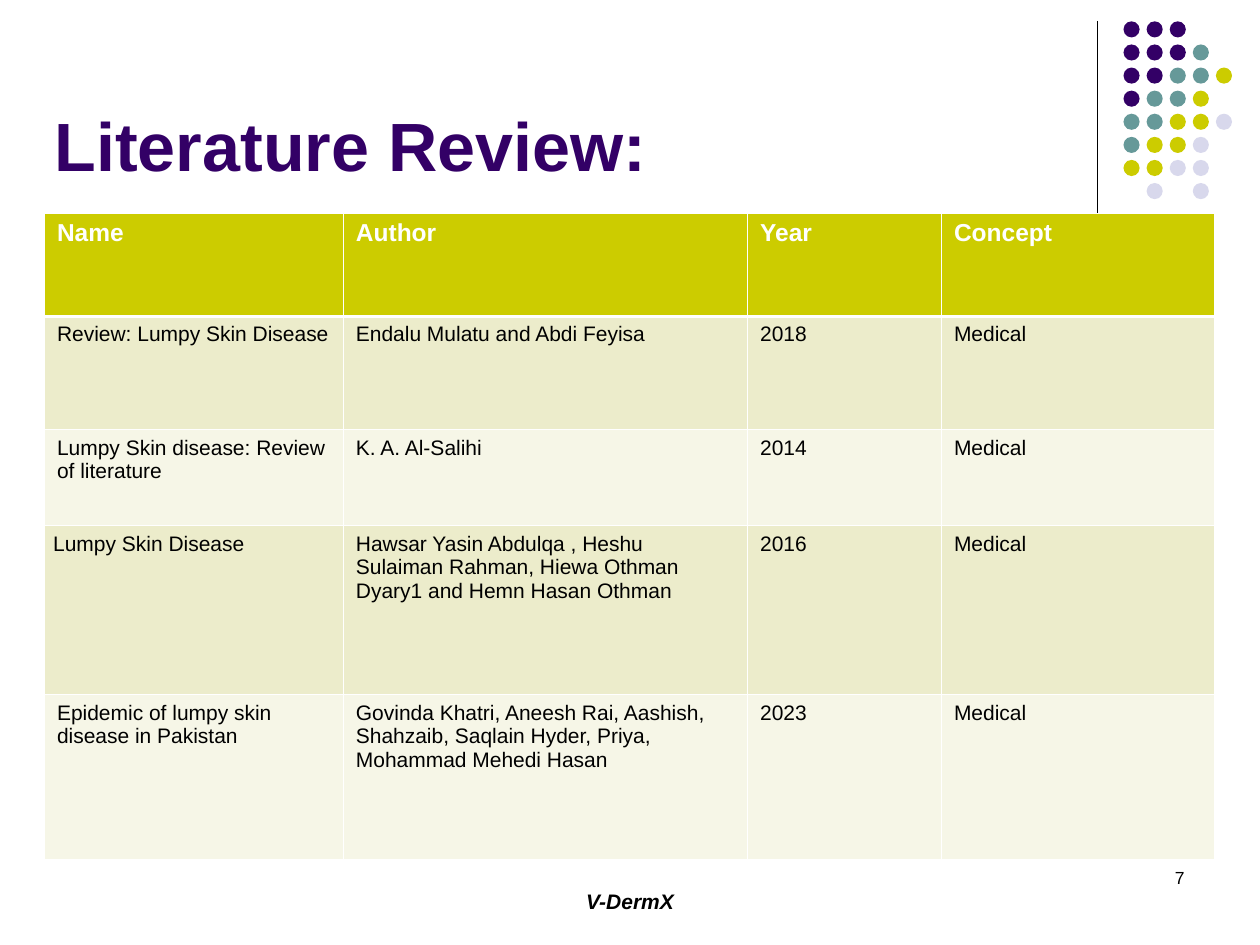
from lxml.etree import SubElement
from pptx import Presentation
from pptx.dml.color import RGBColor
from pptx.enum.shapes import MSO_CONNECTOR, MSO_SHAPE
from pptx.enum.text import MSO_ANCHOR, MSO_AUTO_SIZE, PP_ALIGN
from pptx.oxml.ns import qn
from pptx.util import Pt

COLORS = {
    "purple": "330066", "teal": "669999", "lime": "CCCC00", "lavender": "D8D8EC",
    "band": "ECECCB", "light": "F6F6E7", "black": "000000", "white": "FFFFFF",
}


def style(p, size, color, bold=False, italic=False):
    p.font.name = "Arial"
    p.font.size = Pt(size)
    p.font.bold = bold
    p.font.italic = italic
    p.font.color.rgb = RGBColor.from_string(COLORS[color])


def add_border(cell, side, width):
    """Draw one white cell border; side is L, R, T or B."""
    ln = SubElement(cell._tc.get_or_add_tcPr(), qn(f"a:ln{side}"), w=str(Pt(width)))
    fill = SubElement(ln, qn("a:solidFill"))
    SubElement(fill, qn("a:srgbClr"), val=COLORS["white"])


prs = Presentation()
prs.slide_width, prs.slide_height = Pt(720), Pt(540)
s = prs.slides.add_slide(prs.slide_layouts[5])

# Corner decoration: rule and dot grid
rule = s.shapes.add_connector(MSO_CONNECTOR.STRAIGHT, Pt(627), Pt(12), Pt(627), Pt(132))
rule.line.color.rgb = RGBColor.from_string(COLORS["black"])
rule.line.width = Pt(0.75)
SubElement(rule._element.spPr, qn("a:effectLst"))

DOT_COLORS = {"P": "purple", "T": "teal", "L": "lime", "V": "lavender"}
DOT_ROWS = ["PPP", "PPPT", "PPTTL", "PTTL", "TTLLV", "TLLV", "LLVV", ".V.V"]
DOT_PITCH, DOT_SIZE = 13.2, 9.2
for row, codes in enumerate(DOT_ROWS):
    for col, code in enumerate(codes):
        if code == ".":
            continue
        dot = s.shapes.add_shape(
            MSO_SHAPE.OVAL, Pt(642 + col * DOT_PITCH), Pt(12.2 + row * DOT_PITCH),
            Pt(DOT_SIZE), Pt(DOT_SIZE))
        dot.shadow.inherit = False
        dot.fill.solid()
        dot.fill.fore_color.rgb = RGBColor.from_string(COLORS[DOT_COLORS[code]])
        dot.line.fill.background()

# Title
title = s.shapes.title
title.left, title.top, title.width, title.height = Pt(24), Pt(7.2), Pt(594), Pt(102)
tf = title.text_frame
tf.text = "Literature Review:"
tf.auto_size = MSO_AUTO_SIZE.NONE
tf.vertical_anchor = MSO_ANCHOR.BOTTOM
tf.paragraphs[0].alignment = PP_ALIGN.LEFT
style(tf.paragraphs[0], 39, "purple", bold=True)

# Footer and slide number
for text, left, top, width, height, align, size, emphasis in [
    ("V-DermX", 228, 504, 264, 24, PP_ALIGN.CENTER, 12, True),
    ("7", 516, 492, 168, 36, PP_ALIGN.RIGHT, 10, False),
]:
    tf = s.shapes.add_textbox(Pt(left), Pt(top), Pt(width), Pt(height)).text_frame
    tf.word_wrap = True
    p = tf.paragraphs[0]
    p.text = text
    p.alignment = align
    style(p, size, "black", bold=emphasis, italic=emphasis)

# Literature table
ROWS = [
    ("Name", "Author", "Year", "Concept"),
    ("Review: Lumpy Skin Disease", "Endalu Mulatu and Abdi Feyisa", "2018", "Medical"),
    ("Lumpy Skin disease: Review of literature", "K. A. Al-Salihi", "2014", "Medical"),
    ("Lumpy Skin Disease",
     "Hawsar Yasin Abdulqa , Heshu Sulaiman Rahman, Hiewa Othman Dyary1 "
     "and Hemn Hasan Othman", "2016", "Medical"),
    ("Epidemic of lumpy skin disease in Pakistan",
     "Govinda Khatri, Aneesh Rai, Aashish, Shahzaib, Saqlain Hyder, Priya, "
     "Mohammad Mehedi Hasan", "2023", "Medical"),
]
COL_WIDTHS = [170.8, 231, 110.8, 156.2]
ROW_HEIGHTS = [59, 64.8, 54.8, 96.6, 94.2]
table = s.shapes.add_table(
    len(ROWS), len(COL_WIDTHS), Pt(25.4), Pt(121.8),
    Pt(sum(COL_WIDTHS)), Pt(sum(ROW_HEIGHTS))).table
for column, width in zip(table.columns, COL_WIDTHS):
    column.width = Pt(width)
for r, (values, height) in enumerate(zip(ROWS, ROW_HEIGHTS)):
    table.rows[r].height = Pt(height)
    header = r == 0
    fill = "lime" if header else ("band" if r % 2 else "light")
    for c, value in enumerate(values):
        cell = table.cell(r, c)
        for side in "LRTB":
            thick = (r, side) in [(0, "B"), (1, "T")]
            add_border(cell, side, 1.5 if thick else 0.45)
        cell.fill.solid()
        cell.fill.fore_color.rgb = RGBColor.from_string(COLORS[fill])
        cell.text = value
        style(cell.text_frame.paragraphs[0], 14 if header else 12,
              "white" if header else "black", bold=header)
tight_cell = table.cell(3, 0)
tight_cell.margin_left = tight_cell.margin_right = Pt(5)

prs.save("out.pptx")
